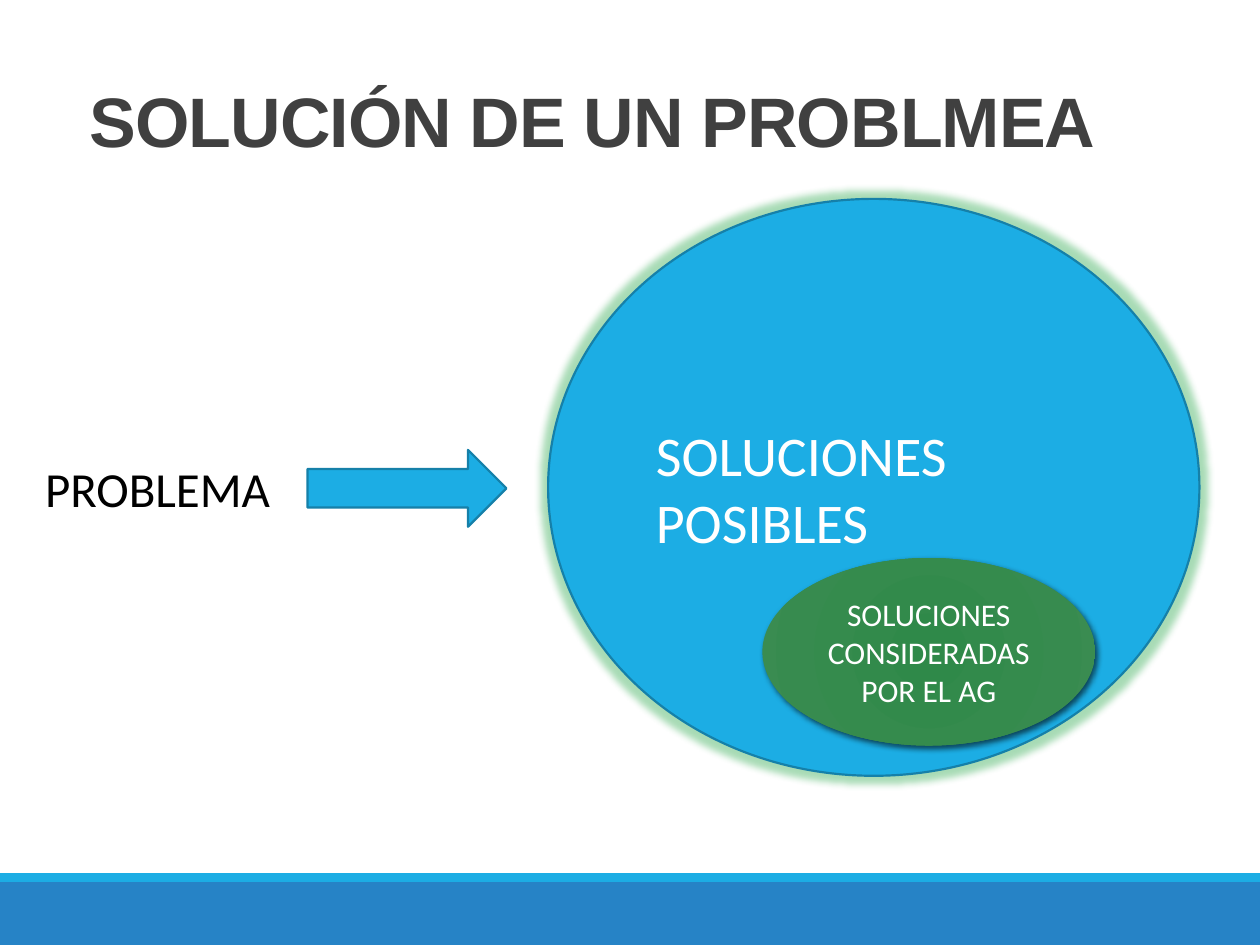
"""Build a slide that shows a problem and the space of its possible solutions."""
import lxml.etree
import pptx
import pptx.dml.color
import pptx.enum.shapes
import pptx.enum.text
import pptx.oxml
import pptx.oxml.ns
import pptx.util

Cm, Pt = pptx.util.Cm, pptx.util.Pt
SHAPE = pptx.enum.shapes.MSO_SHAPE
ALIGN = pptx.enum.text.PP_ALIGN
ANCHOR = pptx.enum.text.MSO_ANCHOR
AUTO = pptx.enum.text.MSO_AUTO_SIZE
NS = pptx.oxml.ns.nsdecls("a")

BLUE, DEEP_BLUE, EDGE = "1CADE4", "2683C6", "1580A9"
GREENS = ("2F8949", "3A8C51")
GLOW = (f'<a:glow {NS} rad="101600"><a:srgbClr val="3EB05C">'
        '<a:alpha val="45000"/></a:srgbClr></a:glow>')
SHADOW = (f'<a:outerShdw {NS} blurRad="44450" dist="25400" dir="2700000">'
          '<a:srgbClr val="000000"><a:alpha val="60000"/></a:srgbClr></a:outerShdw>')
RADIAL = (f'<a:path {NS} path="circle">'
          '<a:fillToRect l="100000" t="100000" r="100000" b="100000"/></a:path>')


def color(value):
    return pptx.dml.color.RGBColor.from_string(value)


def apply(target, values):
    for name, value in values.items():
        setattr(target, name, value)


class SlideBuilder:
    def __init__(self, deck):
        self.slide = deck.slides.add_slide(deck.slide_layouts[5])
        self.font = "Calibri"

    def place(self, shape, box):
        apply(shape, dict(zip(("left", "top", "width", "height"), map(Cm, box))))

    def wording(self, shape, text, size, ink="FFFFFF", frame=None, paragraph=None, font=None):
        apply(shape.text_frame, frame or {})
        line = shape.text_frame.paragraphs[0]
        apply(line, {"alignment": ALIGN.LEFT, **(paragraph or {})})
        run = line.add_run()
        run.text = text
        apply(run.font, {"name": self.font, "size": Pt(size), **(font or {})})
        run.font.color.rgb = color(ink)
        return run

    def title(self, text, box):
        heading = self.slide.shapes.title
        self.place(heading, box)
        run = self.wording(
            heading, text, 40, "404040",
            {"vertical_anchor": ANCHOR.BOTTOM, "auto_size": AUTO.NONE, "word_wrap": True},
            {"line_spacing": 0.85}, {"name": "Arial", "bold": True})
        run.font._element.set("spc", "-50")

    def label(self, text, box, size):
        caption = self.slide.shapes.add_textbox(*map(Cm, box))
        self.wording(caption, text, size, "000000",
                     {"word_wrap": False, "auto_size": AUTO.SHAPE_TO_FIT_TEXT})

    def shape(self, kind, box, fill, edge=None, effect=None):
        figure = self.slide.shapes.add_shape(kind, *map(Cm, box))
        figure.shadow.inherit = False
        if isinstance(fill, str):
            figure.fill.solid()
            figure.fill.fore_color.rgb = color(fill)
        else:
            self.radial_fill(figure, fill)
        if edge:
            figure.line.color.rgb = color(edge)
            figure.line.width = Pt(1.25)
        else:
            figure.line.fill.background()
        if effect:
            effects = figure._element.spPr.find(pptx.oxml.ns.qn("a:effectLst"))
            effects.append(lxml.etree.fromstring(effect))
        return figure

    def radial_fill(self, figure, shades):
        figure.fill.gradient()
        for stop, shade in zip(figure.fill.gradient_stops, shades):
            stop.color.rgb = color(shade)
        linear = figure._element.spPr.find(".//" + pptx.oxml.ns.qn("a:lin"))
        linear.getparent().replace(linear, lxml.etree.fromstring(RADIAL))


def main():
    deck = pptx.Presentation()
    apply(deck, {"slide_width": Cm(25.4), "slide_height": Cm(19.05)})
    page = SlideBuilder(deck)
    middle = {"vertical_anchor": ANCHOR.MIDDLE, "word_wrap": True}

    page.shape(SHAPE.RECTANGLE, (0, 17.78, 25.4, 1.27), DEEP_BLUE)
    page.shape(SHAPE.RECTANGLE, (0, 17.6, 25.4, 0.18), BLUE)
    page.title("SOLUCIÓN DE UN PROBLMEA", (1.55, 1.83, 23.44, 1.55))

    possible = page.shape(SHAPE.OVAL, (11.05, 4.01, 13.13, 11.63), BLUE, EDGE, GLOW)
    page.wording(possible, "SOLUCIONES POSIBLES", 32, frame=middle)
    page.label("PROBLEMA", (0.66, 9.12, 5.11, 1.45), 28)
    considered = page.shape(SHAPE.OVAL, (15.37, 11.25, 6.71, 3.78), GREENS, effect=SHADOW)
    page.wording(considered, "SOLUCIONES CONSIDERADAS POR EL AG", 18,
                 frame=middle, paragraph={"alignment": ALIGN.CENTER})
    page.shape(SHAPE.RIGHT_ARROW, (6.2, 9.07, 4.01, 1.55), BLUE, EDGE)

    deck.save("out.pptx")


if __name__ == "__main__":
    main()
